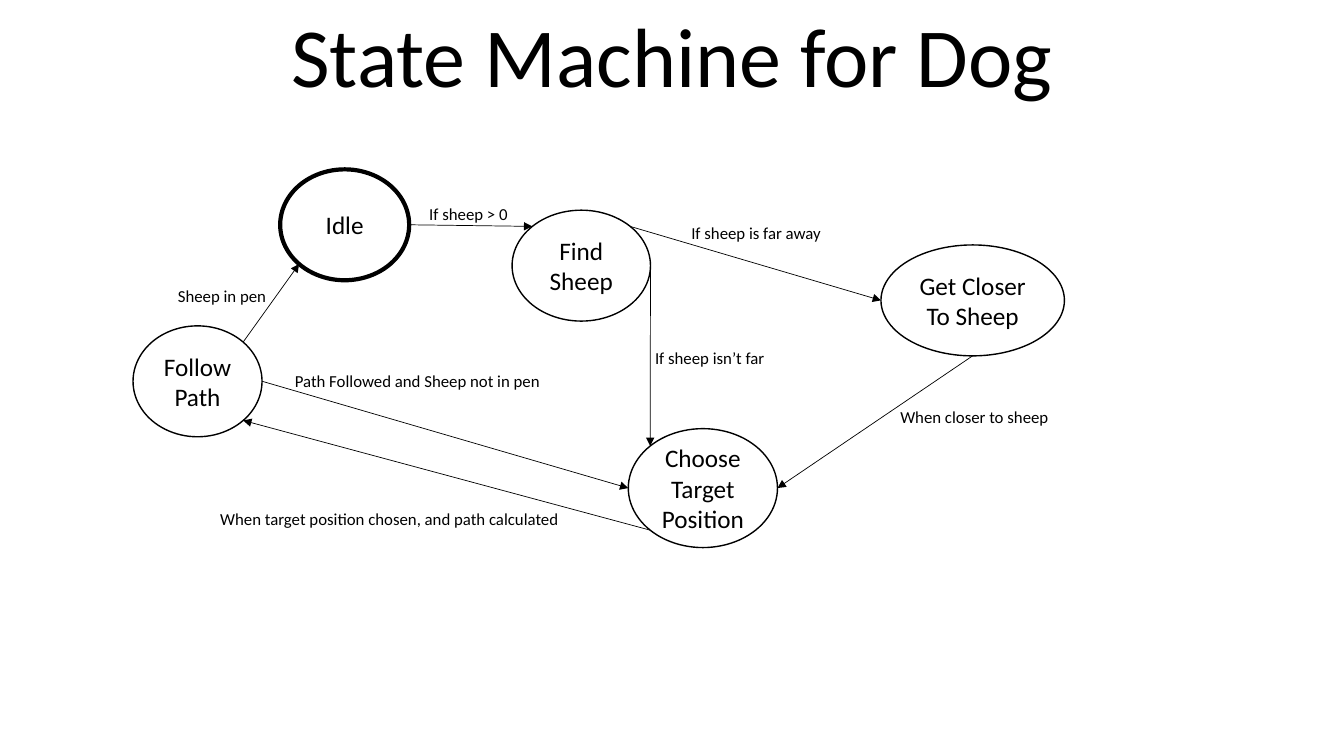
from dataclasses import dataclass
from math import cos, radians, sin

from lxml.etree import SubElement
from pptx import Presentation
from pptx.dml.color import RGBColor
from pptx.enum.shapes import MSO_CONNECTOR as CONN, MSO_SHAPE as SHAPE
from pptx.enum.text import MSO_ANCHOR as ANCHOR, PP_ALIGN as ALIGN
from pptx.oxml.ns import qn
from pptx.util import Inches, Pt

COLORS = {"ink": "000000", "paper": "FFFFFF"}
FONT = "Calibri"

# Angles of the points on an oval, clockwise from the right
RIGHT, LOWER_RIGHT, BOTTOM, LOWER_LEFT = 0, 45, 90, 135
LEFT, UPPER_LEFT, UPPER_RIGHT = 180, 225, 315


@dataclass
class Box:
    """Lengths in percent of the slide's width and height."""
    x: float
    y: float
    w: float
    h: float

    def rim(self, angle: float) -> tuple[float, float]:
        a = radians(angle)
        return (self.x + self.w / 2 * (1 + cos(a)),
                self.y + self.h / 2 * (1 + sin(a)))


@dataclass
class State:
    text: str
    box: Box
    line: float = 1


@dataclass
class Transition:
    start: str
    start_angle: float
    end: str
    end_angle: float
    text: str
    x: float
    y: float
    w: float = 14.33


STATES = {
    "idle": State("Idle", Box(20.85, 22.4, 9.6, 14.67), 3),
    "find": State("Find Sheep", Box(38.1, 27.8, 10.3, 14.67)),
    "follow": State("Follow Path", Box(9.9, 43.1, 9.6, 14.67)),
    "choose": State("Choose Target Position", Box(46.75, 56.7, 11.1, 15.73)),
    "closer": State("Get Closer To Sheep", Box(65.55, 32.4, 13.65, 14.67)),
}
TRANSITIONS = [
    Transition("idle", RIGHT, "find", UPPER_LEFT, "If sheep > 0", 31.2, 26.27),
    Transition("find", RIGHT, "choose", UPPER_LEFT, "If sheep isn’t far", 48, 45.33),
    Transition("find", UPPER_RIGHT, "closer", LEFT, "If sheep is far away", 50.7, 28.8),
    Transition("closer", BOTTOM, "choose", RIGHT, "When closer to sheep", 66.25, 53.2),
    Transition("follow", RIGHT, "choose", LEFT,
               "Path Followed and Sheep not in pen", 21.2, 48.4, 20.33),
    Transition("choose", LOWER_LEFT, "follow", LOWER_RIGHT,
               "When target position chosen, and path calculated", 15.65, 66.7, 33.6),
    Transition("follow", UPPER_RIGHT, "idle", LOWER_LEFT, "Sheep in pen", 12.5, 37.1),
]

prs = Presentation()
prs.slide_width, prs.slide_height = Inches(13.33), Inches(7.5)
s = prs.slides.add_slide(prs.slide_layouts[6])


def across(share: float) -> int:
    return round(prs.slide_width * share / 100)


def down(share: float) -> int:
    return round(prs.slide_height * share / 100)


def place(box: Box) -> tuple[int, int, int, int]:
    return across(box.x), down(box.y), across(box.w), down(box.h)


def color(name: str) -> RGBColor:
    return RGBColor.from_string(COLORS[name])


def write(sp, text: str, size: float, align: ALIGN, anchor: ANCHOR):
    tf = sp.text_frame
    tf.text, tf.word_wrap, tf.vertical_anchor = text, True, anchor
    p = tf.paragraphs[0]
    p.alignment = align
    font = p.runs[0].font
    font.name, font.size = FONT, Pt(size)
    font.color.rgb = color("ink")
    return p


def add_text(text: str, box: Box, size: float, align: ALIGN, anchor: ANCHOR):
    return write(s.shapes.add_textbox(*place(box)), text, size, align, anchor)


def add_state(state: State) -> None:
    sp = s.shapes.add_shape(SHAPE.OVAL, *place(state.box))
    sp.shadow.inherit = False
    sp.fill.solid()
    sp.fill.fore_color.rgb = color("paper")
    sp.line.color.rgb = color("ink")
    sp.line.width = Pt(state.line)
    write(sp, state.text, 18, ALIGN.CENTER, ANCHOR.MIDDLE)


def add_transition(t: Transition) -> None:
    x1, y1 = STATES[t.start].box.rim(t.start_angle)
    x2, y2 = STATES[t.end].box.rim(t.end_angle)
    cx = s.shapes.add_connector(CONN.STRAIGHT, across(x1), down(y1), across(x2), down(y2))
    cx.line.color.rgb = color("ink")
    cx.line.width = Pt(0.5)
    SubElement(cx.line._get_or_add_ln(), qn("a:tailEnd"), type="triangle")
    SubElement(cx._element.spPr, qn("a:effectLst"))
    add_text(t.text, Box(t.x, t.y, t.w, 4), 12, ALIGN.LEFT, ANCHOR.TOP)


# Title
title = add_text("State Machine for Dog", Box(12.5, 0, 75, 14.67), 60,
                 ALIGN.CENTER, ANCHOR.BOTTOM)
title.line_spacing = 0.9

# States
for state in STATES.values():
    add_state(state)

# Transitions with their conditions
for transition in TRANSITIONS:
    add_transition(transition)

prs.save("out.pptx")
